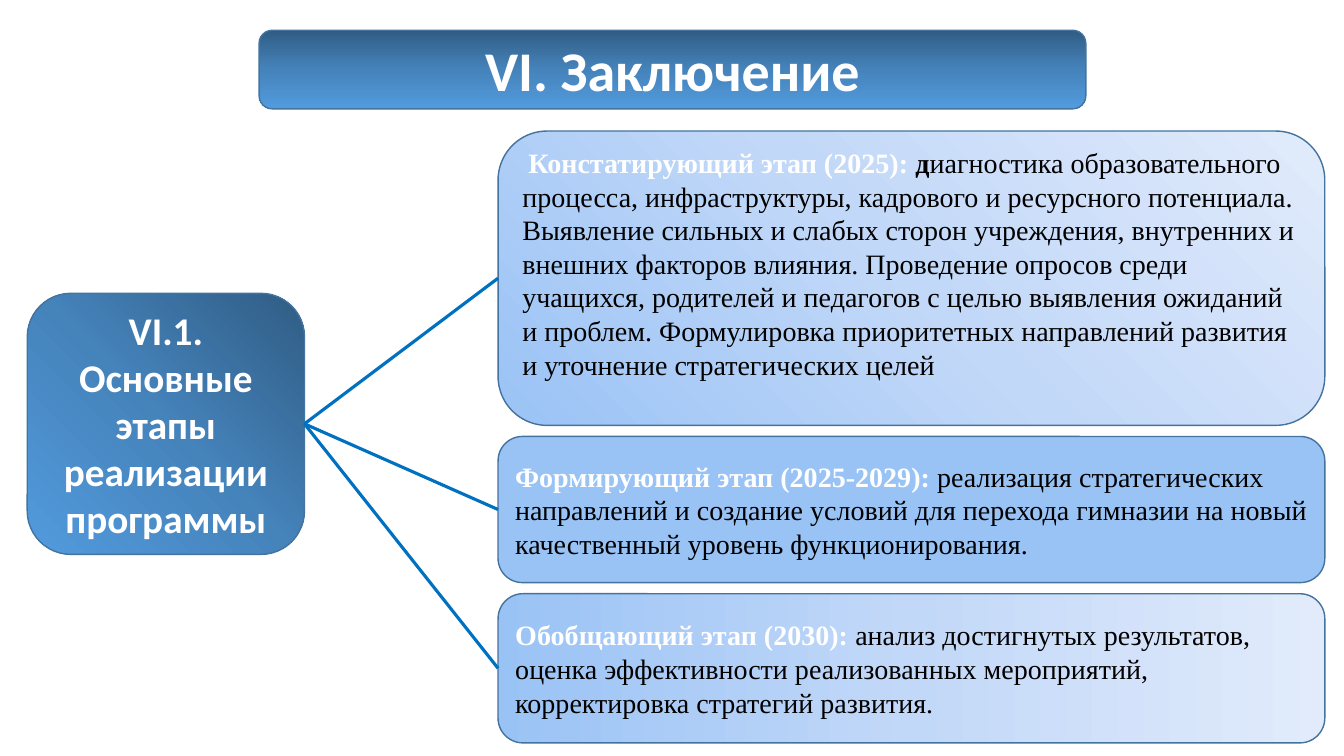
from lxml import etree
from pptx import Presentation
from pptx import util as u
from pptx.dml.color import RGBColor
from pptx.enum import shapes, text
from pptx.oxml import ns

DARK = ("305C84", "4583BB", "529BDE")
LIGHT = ("9AC3F5", "C2D8F8", "E1EBFB")
WHITE, BLACK = "FFFFFF", "000000"
OUTLINE, LINK = "43739E", "0070C0"
DOWN = {"ang": "5400000"}
ACROSS = {"ang": "0"}
FROM_TOP_RIGHT = {"l": "100000", "b": "100000"}
FROM_BOTTOM_LEFT = {"t": "100000", "r": "100000"}

STAGES = [
    (1.3, 2.92, LIGHT, FROM_BOTTOM_LEFT, [
        ("Констатирующий этап (2025): ", WHITE, True),
        ("д", BLACK, True),
        ("иагностика образовательного процесса, инфраструктуры, кадрового и "
         "ресурсного потенциала. Выявление сильных и слабых сторон учреждения, "
         "внутренних и внешних факторов влияния. Проведение опросов среди учащихся, "
         "родителей и педагогов с целью выявления ожиданий и проблем. Формулировка "
         "приоритетных направлений развития и уточнение стратегических целей",
         BLACK, False)]),
    (4.33, 1.45, LIGHT[:1], None, [
        ("Формирующий этап (2025-2029): ", WHITE, True),
        ("реализация стратегических направлений и создание условий для перехода "
         "гимназии на новый качественный уровень функционирования.", BLACK, False)]),
    (5.89, 1.48, LIGHT, ACROSS, [
        ("Обобщающий этап (2030): ", WHITE, True),
        ("анализ достигнутых результатов, оценка эффективности реализованных "
         "мероприятий, корректировка стратегий развития.", BLACK, False)]),
]


def rgb(value):
    """Return the colour for a hex string."""
    return RGBColor.from_string(value)


def fill_gradient(sp, colours, direction):
    """Fill a shape with evenly spaced stops, linear or circular."""
    grad = etree.Element(ns.qn("a:gradFill"), rotWithShape="1")
    stops = etree.SubElement(grad, ns.qn("a:gsLst"))
    for i, colour in enumerate(colours):
        pos = 100000 * i // (len(colours) - 1)
        stop = etree.SubElement(stops, ns.qn("a:gs"), pos=str(pos))
        etree.SubElement(stop, ns.qn("a:srgbClr"), val=colour)
    if "ang" in direction:
        etree.SubElement(grad, ns.qn("a:lin"), direction, scaled="0")
    else:
        circle = etree.SubElement(grad, ns.qn("a:path"), path="circle")
        etree.SubElement(circle, ns.qn("a:fillToRect"), direction)
    sp._element.spPr.find(ns.qn("a:prstGeom")).addnext(grad)


def add_box(s, left, top, width, height, colours, direction=None):
    """Add an outlined rounded box with a solid or gradient fill."""
    sp = s.shapes.add_shape(shapes.MSO_SHAPE.ROUNDED_RECTANGLE,
                            *map(u.Inches, (left, top, width, height)))
    sp.shadow.inherit = False
    if direction:
        fill_gradient(sp, colours, direction)
    else:
        sp.fill.solid()
        sp.fill.fore_color.rgb = rgb(colours[0])
    sp.line.color.rgb = rgb(OUTLINE)
    sp.line.width = u.Pt(1)
    return sp


def write(sp, runs, size, font, align):
    """Write one paragraph of runs, centred vertically in the box."""
    tf = sp.text_frame
    tf.word_wrap = True
    tf.vertical_anchor = text.MSO_ANCHOR.MIDDLE
    p = tf.paragraphs[0]
    p.alignment = align
    for words, colour, bold in runs:
        r = p.add_run()
        r.text = words
        r.font.name = font
        r.font.size = u.Pt(size)
        r.font.bold = bold
        r.font.color.rgb = rgb(colour)
    return tf


def add_link(s, start, end):
    """Join the right side of one box to the left side of another."""
    link = s.shapes.add_connector(shapes.MSO_CONNECTOR.STRAIGHT, 0, 0, 0, 0)
    link.begin_connect(start, 3)
    link.end_connect(end, 1)
    link.line.color.rgb = rgb(LINK)
    link.line.width = u.Pt(2.25)
    etree.SubElement(link._element.spPr, ns.qn("a:effectLst"))


def main():
    """Build the slide and save it."""
    prs = Presentation()
    prs.slide_width, prs.slide_height = u.Inches(13.33), u.Inches(7.5)
    s = prs.slides.add_slide(prs.slide_layouts[6])
    left, center = text.PP_ALIGN.LEFT, text.PP_ALIGN.CENTER

    title = add_box(s, 2.57, 0.3, 8.2, 0.78, DARK, DOWN)
    write(title, [("VI. Заключение", WHITE, True)], 40, "Calibri", center)
    topic = add_box(s, 0.27, 2.91, 2.75, 2.59, DARK, FROM_TOP_RIGHT)
    write(topic, [("VI.1. Основные этапы реализации программы", WHITE, True)],
          28, "Calibri", center)

    boxes = []
    for top, height, colours, direction, runs in STAGES:
        box = add_box(s, 4.94, top, 8.2, height, colours, direction)
        write(box, runs, 20, "Times New Roman", left)
        boxes.append(box)
    first = boxes[0].text_frame
    first.margin_bottom = u.Inches(0.35)
    first.paragraphs[0]._p.get_or_add_pPr().set("indent", str(u.Inches(0.06)))

    for box in boxes:
        add_link(s, topic, box)
    prs.save("out.pptx")


if __name__ == "__main__":
    main()
